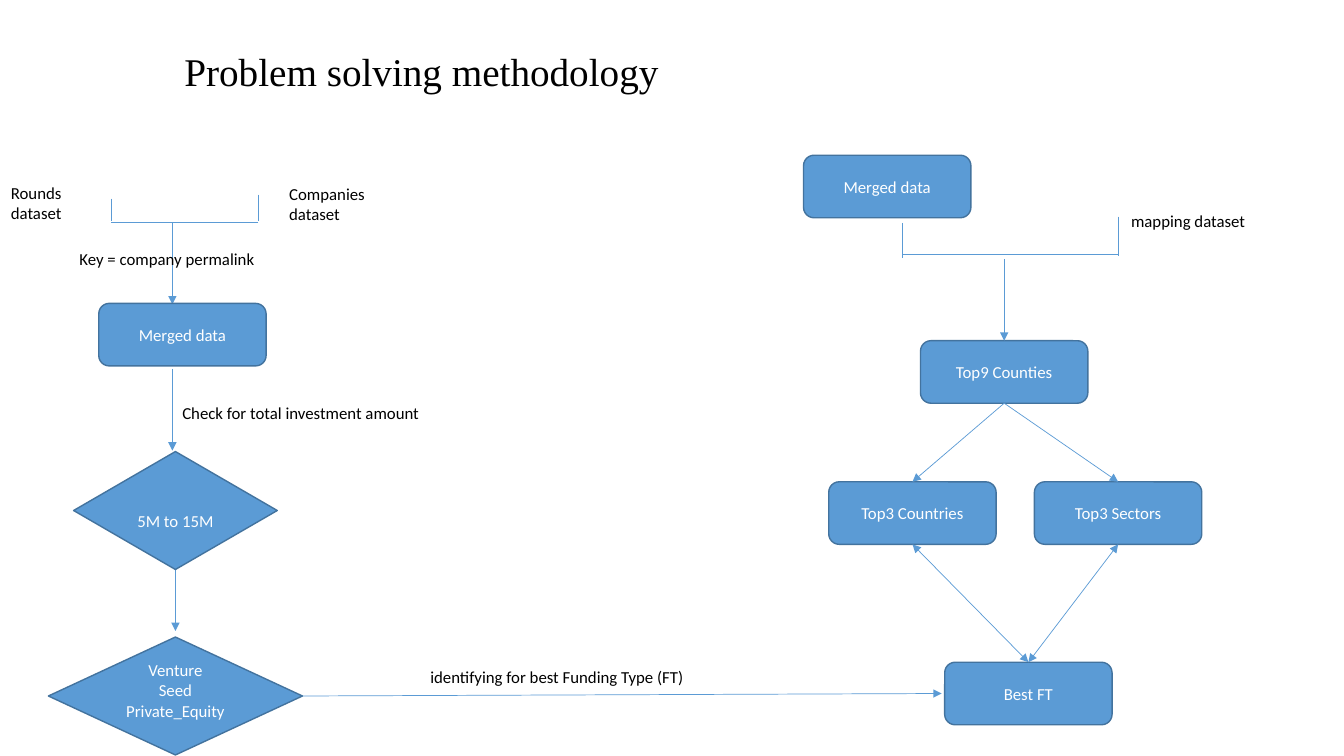
from pptx import Presentation
from pptx.dml.color import RGBColor as Rgb
from pptx.enum.shapes import MSO_CONNECTOR as Wire, MSO_SHAPE as Form
from pptx.enum.text import MSO_ANCHOR as Anchor, PP_ALIGN as Align
from pptx.oxml.ns import qn
from pptx.util import Inches, Pt
from lxml.etree import SubElement as Sub

COLS, ROWS = 133.3, 75
HUES = {"fill": "5B9BD5", "edge": "43739E", "ink": "000000", "pale": "FFFFFF"}
BODY = {"name": "Calibri", "size": Pt(12), "bold": False}
HEAD = {"name": "Times New Roman", "size": Pt(28), "bold": False}


class Chart:
    """Draw a flow chart on one slide, measured in grid columns and rows."""

    def __init__(self):
        self.deck = Presentation()
        self.deck.slide_width = Inches(13.33)
        self.deck.slide_height = Inches(7.5)
        self.slide = self.deck.slides.add_slide(self.deck.slide_layouts[6])

    def grid(self, *spots):
        units = self.deck.slide_width / COLS, self.deck.slide_height / ROWS
        return [round(spot * units[i % 2]) for i, spot in enumerate(spots)]

    def letter(self, shape, text, hue, font=BODY, align=Align.LEFT, **frame):
        box = shape.text_frame
        box.text = text
        for key, value in {"word_wrap": True, **frame}.items():
            setattr(box, key, value)
        for para in box.paragraphs:
            para.alignment = align
            for run in para.runs:
                for key, value in font.items():
                    setattr(run.font, key, value)
                run.font.color.rgb = Rgb.from_string(HUES[hue])

    def label(self, text, x, y, w=34, h=3, font=BODY, **frame):
        box = self.slide.shapes.add_textbox(*self.grid(x, y, w, h))
        self.letter(box, text, "ink", font, **frame)

    def node(self, text, x, y, w=16.6, h=6.2, form=Form.ROUNDED_RECTANGLE, **frame):
        shape = self.slide.shapes.add_shape(form, *self.grid(x, y, w, h))
        shape.shadow.inherit = False
        shape.fill.solid()
        shape.fill.fore_color.rgb = Rgb.from_string(HUES["fill"])
        shape.line.color.rgb = Rgb.from_string(HUES["edge"])
        shape.line.width = Pt(1)
        frame = {"vertical_anchor": Anchor.MIDDLE, **frame}
        self.letter(shape, text, "pale", align=Align.CENTER, **frame)
        return shape

    def line(self, x1, y1, x2, y2, ends=()):
        wire = self.slide.shapes.add_connector(
            Wire.STRAIGHT, *self.grid(x1, y1, x2, y2))
        wire.line.color.rgb = Rgb.from_string(HUES["fill"])
        wire.line.width = Pt(0.5)
        props = wire.element.spPr
        for end in ends:
            Sub(props.find(qn("a:ln")), qn(f"a:{end}"), type="triangle")
        Sub(props, qn("a:effectLst"))
        return wire

    def link(self, top, low, ends):
        wire = self.line(0, 0, 0, 0, ends)
        wire.begin_connect(top, 2)
        wire.end_connect(low, 0)


def main():
    chart = Chart()
    arrow, both = ["tailEnd"], ["headEnd", "tailEnd"]
    rhomb = {"form": Form.FLOWCHART_DECISION, "h": 11.7,
             "margin_left": 0, "margin_right": 0}

    chart.label("Problem solving methodology", 17.3, 2.3, 100.5, 9.4, HEAD,
                vertical_anchor=Anchor.MIDDLE)

    for bar in [(11, 19.7, 11, 21.9), (25.6, 19.3, 25.6, 21.9),
                (25.6, 22.1, 11, 22.1), (89.5, 22.1, 89.5, 25.6),
                (110.9, 21.5, 110.9, 25.4), (110.9, 25.2, 89.5, 25.2)]:
        chart.line(*bar)

    for x, y in [(17.1, 22.1), (17.1, 36.6), (17.4, 54.5)]:
        chart.line(x, y, x, y + 8.1, arrow)

    chart.node("Merged data", 9.8, 30.1)
    chart.node("5M to 15M", 7.3, 44.8, 20.2, margin_top=Inches(0.25), **rhomb)
    funds = chart.node("Venture\nSeed\nPrivate_Equity", 4.8, 63.2, 25.2,
                       vertical_anchor=Anchor.BOTTOM, **rhomb)

    chart.node("Merged data", 79.7, 15.4)
    top = chart.node("Top9 Counties", 91.3, 33.8)
    lands = chart.node("Top3 Countries", 82.2, 47.8)
    fields = chart.node("Top3 Sectors", 102.6, 47.8)
    best = chart.node("Best FT", 93.7, 65.7)

    chart.line(99.6, 25.7, 99.6, 33.8, arrow).end_connect(top, 0)
    chart.line(30, 69.1, 93.4, 68.8, arrow).begin_connect(funds, 3)
    for mid in (lands, fields):
        chart.link(top, mid, arrow)
        chart.link(mid, best, both)

    chart.label("Companies\ndataset", 27.7, 17.7, 14.6, 5)
    chart.label("Rounds\ndataset", 0.1, 17.6, 14.6, 5)
    chart.label("mapping dataset", 111.2, 20.4, 14.6)
    chart.label("Key = company permalink", 6.9, 24.2)
    chart.label("Check for total investment amount", 17.1, 39.5)
    chart.label("identifying for best Funding Type (FT)", 41.7, 65.7)

    chart.deck.save("out.pptx")


if __name__ == "__main__":
    main()
